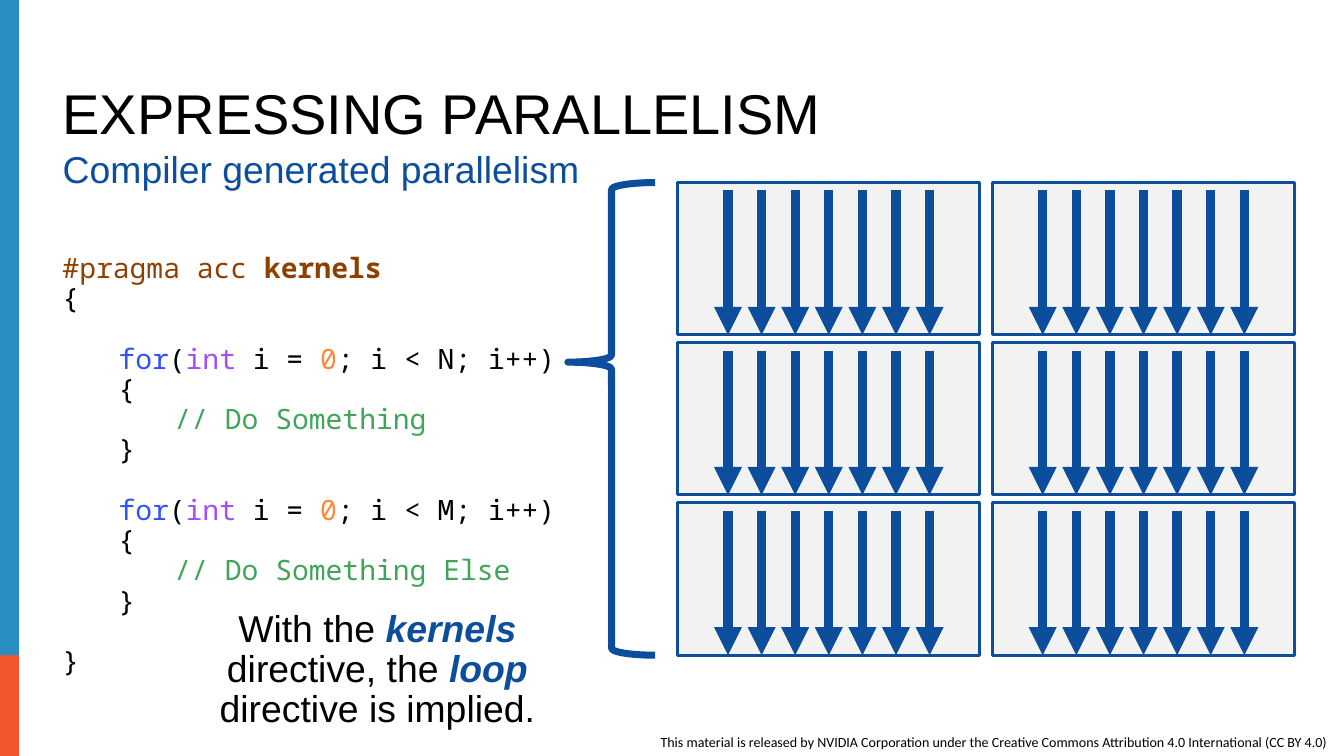
from pptx import Presentation
from pptx.dml.color import RGBColor
from pptx.enum.shapes import MSO_CONNECTOR as CONN, MSO_SHAPE as SHAPE
from pptx.enum.text import MSO_ANCHOR as ANCHOR, MSO_AUTO_SIZE as AUTO, PP_ALIGN as ALIGN
from pptx.oxml.ns import qn
from pptx.util import Inches, Pt
from lxml.etree import SubElement

BLUE, BLACK, PANEL = "0C4E9B", "000000", "F2F2F2"
BROWN, KEYWORD, TYPE, NUMBER, COMMENT = "8E4000", "3051FF", "A64CFF", "FF8738", "40A459"
CODE_FONT = "Noto Sans Mono"
BLANK_LINE = 19.5


def rgb(value):
    return RGBColor.from_string(value)


def place(s, left, top, width, height):
    s.left, s.top, s.width, s.height = map(Inches, (left, top, width, height))


def set_frame(tf, anchor=ANCHOR.TOP):
    tf.word_wrap = True
    tf.auto_size = AUTO.NONE
    tf.vertical_anchor = anchor


def add_text_box(shapes, box, anchor=ANCHOR.TOP):
    tf = shapes.add_textbox(*map(Inches, box)).text_frame
    set_frame(tf, anchor)
    return tf


def style_run(r, size, color, font="Arial", bold=False, italic=False):
    r.font.size = Pt(size)
    r.font.name = font
    r.font.color.rgb = rgb(color)
    r.font.bold = bold
    r.font.italic = italic


def add_run(p, text, size, color, **style):
    r = p.add_run()
    r.text = text
    style_run(r, size, color, **style)


def fill_placeholder(s, box, text, size, color, anchor):
    place(s, *box)
    tf = s.text_frame
    tf.text = text
    set_frame(tf, anchor)
    p = tf.paragraphs[0]
    pPr = p._p.get_or_add_pPr()
    pPr.set("marL", "0")
    pPr.set("indent", "0")
    SubElement(pPr, qn("a:buNone"))
    p.alignment = ALIGN.LEFT
    p.line_spacing = 0.9
    p.space_before = Pt(0)
    style_run(p.runs[0], size, color)


def add_block(shapes, kind, box, fill=None, line=None, weight=1):
    s = shapes.add_shape(kind, *map(Inches, box))
    s.shadow.inherit = False
    if fill:
        s.fill.solid()
        s.fill.fore_color.rgb = rgb(fill)
    else:
        s.fill.background()
    if line:
        s.line.color.rgb = rgb(line)
        s.line.width = Pt(weight)
    else:
        s.line.fill.background()
    return s


def add_down_arrow(shapes, x, top, bottom):
    s = shapes.add_connector(CONN.STRAIGHT, *map(Inches, (x, top, x, bottom)))
    s.line.color.rgb = rgb(BLUE)
    s.line.width = Pt(6)
    SubElement(s.line._get_or_add_ln(), qn("a:tailEnd"), type="triangle")
    SubElement(s._element.spPr, qn("a:effectLst"))


def add_thread_panel(shapes, left, top):
    group = shapes.add_group_shape()
    add_block(group.shapes, SHAPE.RECTANGLE, (left, top, 2.7, 1.36), PANEL, BLUE, 2)
    for i in range(7):
        add_down_arrow(group.shapes, left + 0.45 + 0.3 * i, top + 0.07, top + 1.36)


def loop_lines(limit, comment):
    return [
        (BLANK_LINE, [("\tfor", KEYWORD), ("(", BLACK), ("int ", TYPE), ("i = ", BLACK),
                      ("0", NUMBER), (f"; i < {limit}; i++)", BLACK)]),
        (0, [("\t{", BLACK)]),
        (0, [("\t\t" + comment, COMMENT)]),
        (0, [("\t}", BLACK)]),
    ]


def add_code(shapes):
    tf = add_text_box(shapes, (0.46, 2.2, 4.74, 3.92), ANCHOR.MIDDLE)
    lines = [
        (0, [("#pragma acc ", BROWN), ("kernels", BROWN, True)]),
        (0, [("{", BLACK)]),
        *loop_lines("N", "// Do Something"),
        *loop_lines("M", "// Do Something Else"),
        (BLANK_LINE, [("}", BLACK)]),
    ]
    for i, (gap, parts) in enumerate(lines):
        p = tf.add_paragraph() if i else tf.paragraphs[0]
        tabs = SubElement(p._p.get_or_add_pPr(), qn("a:tabLst"))
        for stop in (0.5, 1):
            SubElement(tabs, qn("a:tab"), pos=str(Inches(stop)), algn="l")
        p.line_spacing = 0.9
        p.space_before = Pt(gap)
        for text, color, *bold in parts:
            add_run(p, text, 18, color, font=CODE_FONT, bold=bool(bold))


def add_note(shapes):
    p = add_text_box(shapes, (1.54, 5.39, 3.66, 1.19), ANCHOR.MIDDLE).paragraphs[0]
    p.alignment = ALIGN.CENTER
    p.line_spacing = 0.9
    parts = ["With the ", "kernels", " directive, the ", "loop", " directive is implied."]
    for text in parts:
        key = text in ("kernels", "loop")
        add_run(p, text, 24, BLUE if key else BLACK, bold=key, italic=key)


def add_license(shapes):
    tf = add_text_box(shapes, (5.8, 6.5, 6.2, 0.25))
    tf.text = ("This material is released by NVIDIA Corporation under the "
               "Creative Commons Attribution 4.0 International (CC BY 4.0)")
    style_run(tf.paragraphs[0].runs[0], 9, BLACK, font="Calibri")


def main():
    prs = Presentation()
    prs.slide_width, prs.slide_height = Inches(12), Inches(6.75)
    slide = prs.slides.add_slide(prs.slide_layouts[1])
    shapes = slide.shapes

    add_license(shapes)
    add_block(shapes, SHAPE.RECTANGLE, (-0.03, 5.07, 0.2, 1.68), "F1562D")
    add_block(shapes, SHAPE.RECTANGLE, (-0.03, 0, 0.2, 5.85), "298EC2")
    add_code(shapes)
    fill_placeholder(shapes.title, (0.46, 0.71, 10.91, 0.65),
                     "EXPRESSING PARALLELISM", 36, BLACK, ANCHOR.BOTTOM)
    fill_placeholder(slide.placeholders[1], (0.46, 1.3, 10.91, 0.57),
                     "Compiler generated parallelism", 24, BLUE, ANCHOR.TOP)

    brace = add_block(shapes, SHAPE.LEFT_BRACE, (5.07, 1.63, 0.78, 4.22), line=BLUE, weight=4.5)
    brace.adjustments[0], brace.adjustments[1] = 0.08, 0.38
    for row in range(3):
        for col in range(2):
            add_thread_panel(shapes, 6.05 + 2.81 * col, 1.63 + 1.43 * row)
    add_note(shapes)

    prs.save("out.pptx")


if __name__ == "__main__":
    main()
